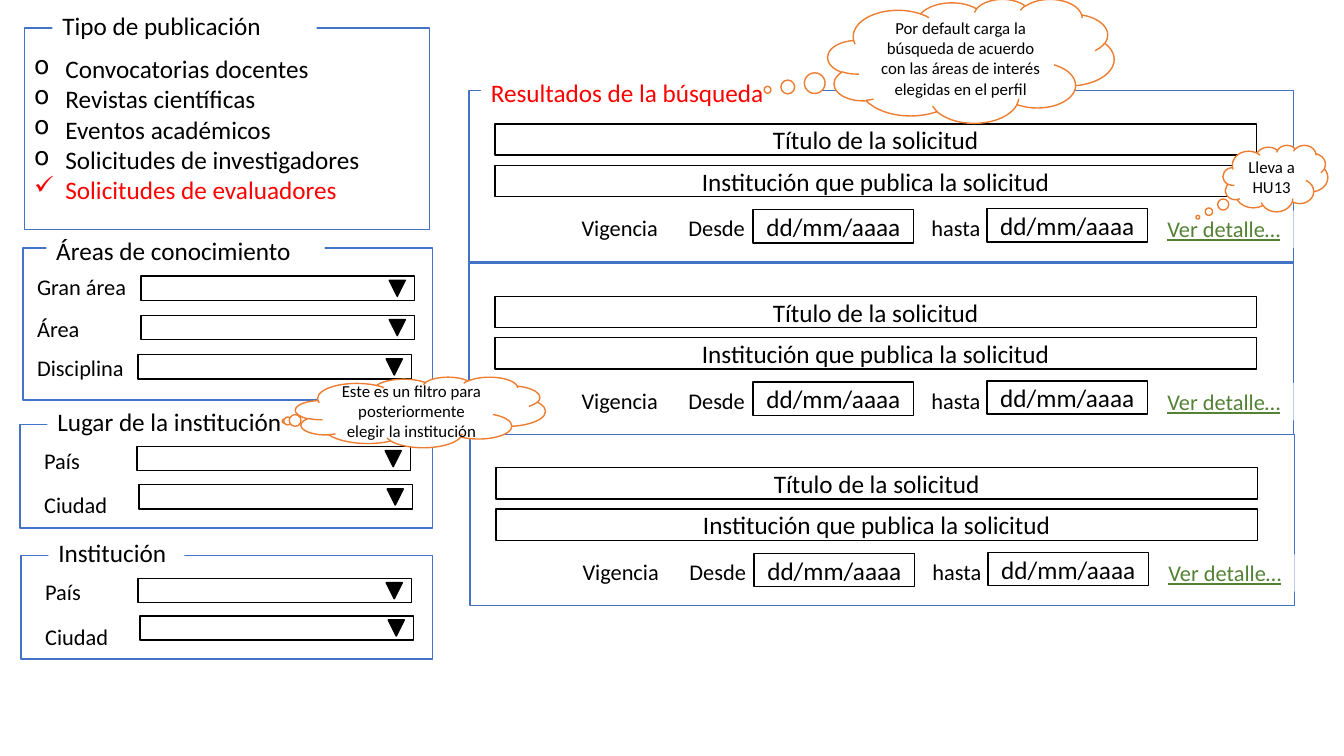
"""Build the search screen mock-up: filters on the left, results on the right."""
from lxml import etree
from pptx import Presentation
from pptx.dml.color import RGBColor
from pptx.enum.shapes import MSO_SHAPE
from pptx.enum.text import MSO_ANCHOR, MSO_AUTO_SIZE, PP_ALIGN
from pptx.oxml.ns import qn
from pptx.util import Inches, Pt

RECTANGLE = MSO_SHAPE.RECTANGLE
TRIANGLE = MSO_SHAPE.ISOSCELES_TRIANGLE
CLOUD = MSO_SHAPE.CLOUD_CALLOUT
MIDDLE, TOP = MSO_ANCHOR.MIDDLE, MSO_ANCHOR.TOP
CENTER, LEFT = PP_ALIGN.CENTER, PP_ALIGN.LEFT
FIT_SHAPE = MSO_AUTO_SIZE.SHAPE_TO_FIT_TEXT

BLACK, WHITE, RED = "000000", "FFFFFF", "FF0000"
BLUE, ORANGE, GREEN = "4472C4", "ED7D31", "548235"

deck = Presentation()
deck.slide_width, deck.slide_height = Inches(13.33), Inches(7.5)
page = deck.slides.add_slide(deck.slide_layouts[6])


def add_box(left, top, width, height, text="", kind=RECTANGLE, line=BLACK,
            fill=WHITE, size=18, color=BLACK, align=CENTER):
    """Add an outlined box with text centred vertically."""
    box = page.shapes.add_shape(kind, Inches(left), Inches(top), Inches(width), Inches(height))
    box.shadow.inherit = False
    box.fill.solid()
    box.fill.fore_color.rgb = RGBColor.from_string(fill)
    box.line.color.rgb = RGBColor.from_string(line)
    box.line.width = Pt(1)
    box.text_frame.word_wrap = True
    box.text_frame.vertical_anchor = MIDDLE
    box.text_frame.text = text
    for para in box.text_frame.paragraphs:
        para.alignment = align
        para.font.name, para.font.size = "Calibri", Pt(size)
        for span in para.runs:
            span.font.name, span.font.size = "Calibri", Pt(size)
            span.font.color.rgb = RGBColor.from_string(color)
    return box


def add_label(left, top, width, text, size=16, color=BLACK, filled=False, wrap=True):
    """Add a text label without an outline."""
    height = 0.4 if size == 18 else 0.37
    label = page.shapes.add_textbox(Inches(left), Inches(top), Inches(width), Inches(height))
    if filled:
        label.fill.solid()
        label.fill.fore_color.rgb = RGBColor.from_string(WHITE)
    frame = label.text_frame
    frame.text = text
    frame.word_wrap = wrap
    frame.auto_size = FIT_SHAPE
    frame.vertical_anchor = TOP
    font = frame.paragraphs[0].runs[0].font
    font.name, font.size = "Calibri", Pt(size)
    font.color.rgb = RGBColor.from_string(color)
    return label


for left, top in [(4.65, 0.9), (4.65, 2.61), (4.66, 4.31)]:
    add_box(left, top, 8.18, 1.7, line=BLUE)
    add_box(left + 0.26, top + 0.33, 7.55, 0.31, "Título de la solicitud")
    add_box(left + 0.26, top + 0.74, 7.55, 0.31, "Institución que publica la solicitud")
    for offset, width, word in [(1.02, 0.97, "Vigencia"), (2.08, 0.77, "Desde"), (4.49, 0.69, "hasta")]:
        add_label(left + offset, top + 1.18, width, word, wrap=False)
    add_box(left + 2.82, top + 1.18, 1.59, 0.33, "dd/mm/aaaa")
    add_box(left + 5.14, top + 1.17, 1.59, 0.33, "dd/mm/aaaa")
    detail = add_label(left + 6.83, top + 1.19, 1.35, "Ver detalle…", color=GREEN, filled=True, wrap=False)
    detail.text_frame.paragraphs[0].runs[0].font.underline = True

publication_types = ["Convocatorias docentes", "Revistas científicas", "Eventos académicos",
                     "Solicitudes de investigadores", "Solicitudes de evaluadores"]
type_list = add_box(0.24, 0.28, 4.02, 2, "\n".join(publication_types), line=BLUE, align=LEFT)
paragraphs = type_list.text_frame.paragraphs
paragraphs[-1].runs[0].font.color.rgb = RGBColor.from_string(RED)
for para, mark in zip(paragraphs, "oooo✓"):
    properties = para._p.get_or_add_pPr()
    properties.set("marL", str(Inches(0.31)))
    properties.set("indent", str(-Inches(0.31)))
    etree.SubElement(properties, qn("a:buChar")).set("char", mark)

for left, top, width, height in [(0.23, 2.46, 4.06, 1.51), (0.2, 4.21, 4.09, 1.03), (0.21, 5.51, 4.08, 1.03)]:
    add_box(left, top, width, height, line=BLUE)

headings = [
    (0.52, 0.05, 2.62, "Tipo de publicación", BLACK),
    (0.46, 2.29, 2.76, "Áreas de conocimiento", BLACK),
    (0.47, 3.98, 2.6, "Lugar de la institución", BLACK),
    (0.48, 5.28, 1.35, "Institución", BLACK),
    (4.77, 0.72, 3.24, "Resultados de la búsqueda", RED),
]
for left, top, width, text, color in headings:
    add_label(left, top, width, text, size=18, color=color, filled=True)

filters = [
    ("Gran área", 0.27, 2.66, 1.4, 2.74),
    ("Área", 0.27, 3.08, 1.4, 3.13),
    ("Disciplina", 0.27, 3.46, 1.37, 3.52),
    ("País", 0.34, 4.39, 1.36, 4.43),
    ("Ciudad", 0.34, 4.82, 1.38, 4.81),
    ("País", 0.35, 5.69, 1.37, 5.74),
    ("Ciudad", 0.35, 6.13, 1.39, 6.11),
]
for name, label_left, label_top, menu_left, menu_top in filters:
    add_label(label_left, label_top, 1.3, name)
    add_box(menu_left, menu_top, 2.71, 0.24)
    arrow = add_box(menu_left + 2.46, menu_top + 0.04, 0.16, 0.16, kind=TRIANGLE, fill=BLACK)
    arrow.rotation = 180

clouds = [
    (8.21, -0.01, 2.84, 1.23, -0.71, 0.233,
     "Por default carga la búsqueda de acuerdo con las áreas de interés elegidas en el perfil"),
    (12.13, 1.44, 1.04, 0.66, -0.74, 0.584, "Lleva a HU13"),
    (2.93, 3.74, 2.48, 0.7, -0.545, 0.127,
     "Este es un filtro para posteriormente elegir la institución"),
]
for left, top, width, height, tail_x, tail_y, note in clouds:
    cloud = add_box(left, top, width, height, note, kind=CLOUD, line=ORANGE, size=12)
    cloud.adjustments[0], cloud.adjustments[1] = tail_x, tail_y

deck.save("out.pptx")
